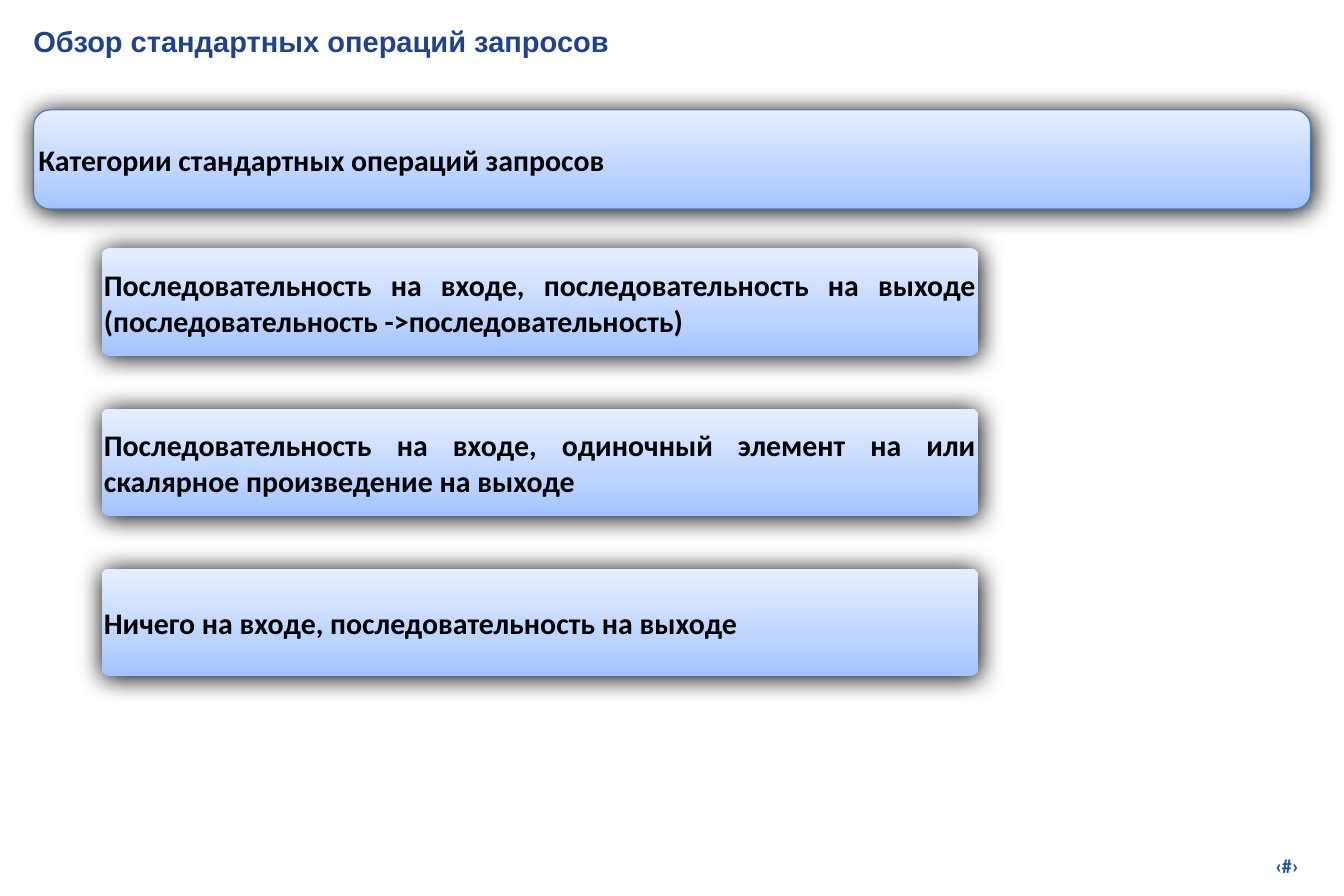
from lxml import etree
from pptx import Presentation
from pptx import util as u
from pptx.dml.color import RGBColor
from pptx.enum import shapes, text
from pptx.oxml import ns

PX = 9144  # 100 px to the inch
STOPS = [(0, "A2C3FF"), (35, "BDD4FF"), (100, "E6EEFF")]
CATEGORIES = [
    "Последовательность на входе, последовательность на выходе "
    "(последовательность ->последовательность)",
    "Последовательность на входе, одиночный элемент на или "
    "скалярное произведение на выходе",
    "Ничего на входе, последовательность на выходе",
]


def px(n):
    return u.Emu(n * PX)


def rgb(color):
    return RGBColor.from_string(color)


def sub(parent, tag, **attrs):
    el = etree.SubElement(parent, ns.qn(tag))
    for key, value in attrs.items():
        el.set(key, str(value))
    return el


def write(sp, words, size, color, font="Calibri", align=text.PP_ALIGN.LEFT,
          anchor=text.MSO_ANCHOR.MIDDLE, inset=0):
    tf = sp.text_frame
    frame = dict(word_wrap=True, vertical_anchor=anchor)
    for side in ("left", "top", "right", "bottom"):
        frame["margin_" + side] = px(inset)
    for key, value in frame.items():
        setattr(tf, key, value)
    p = tf.paragraphs[0]
    p.alignment = align
    r = p.add_run()
    r.text = words
    for key, value in dict(size=u.Pt(size), name=font, bold=True).items():
        setattr(r.font, key, value)
    r.font.color.rgb = rgb(color)


def label(s, box, words, size, color, **fmt):
    sp = s.shapes.add_textbox(*map(px, box))
    write(sp, words, size, color, anchor=text.MSO_ANCHOR.TOP, **fmt)


def panel(s, box, words, radius, align, line=None):
    sp = s.shapes.add_shape(shapes.MSO_SHAPE.ROUNDED_RECTANGLE, *map(px, box))
    sp.adjustments[0] = radius
    # Three-stop gradient, light at the top
    sp.fill.gradient()
    sp.fill.gradient_angle = 90
    stops = sp.element.spPr.find(".//" + ns.qn("a:gsLst"))
    for old in list(stops):
        stops.remove(old)
    for pos, color in STOPS:
        stop = sub(stops, "a:gs", pos=pos * 1000)
        sub(stop, "a:srgbClr", val=color)
    # Outline
    if line:
        sp.line.color.rgb = rgb(line)
        sp.line.width = u.Pt(0.75)
    else:
        sp.line.fill.background()
    # Soft black shadow
    sp.shadow.inherit = False
    effects = sp.element.spPr.find(ns.qn("a:effectLst"))
    shadow = sub(effects, "a:outerShdw", blurRad=u.Pt(15), dist=u.Pt(0.7),
                 dir=90 * 60000, rotWithShape=0)
    sub(shadow, "a:srgbClr", val="000000")
    write(sp, words, 18, "000000", align=align)


def category_list(s, box, pitch):
    x, y, w, h = box
    for i, words in enumerate(CATEGORIES):
        panel(s, (x, y + i * pitch, w, h), words, 0.075,
              text.PP_ALIGN.JUSTIFY)


def main():
    prs = Presentation()
    prs.slide_width, prs.slide_height = px(1125), px(750)
    s = prs.slides.add_slide(prs.slide_layouts[6])
    # Title
    label(s, (28, 20, 1074, 40), "Обзор стандартных операций запросов",
          17.5, "21438F", font="Arial")
    # Categories, then their heading
    category_list(s, (85, 208, 734, 90), 134)
    panel(s, (28, 92, 1069, 83), "Категории стандартных операций запросов",
          0.167, text.PP_ALIGN.LEFT, line="4A7EBB")
    # Slide number
    label(s, (854, 710, 238, 29), "‹#›", 12, "2750AB",
          align=text.PP_ALIGN.RIGHT, inset=5)
    prs.save("out.pptx")


if __name__ == "__main__":
    main()
